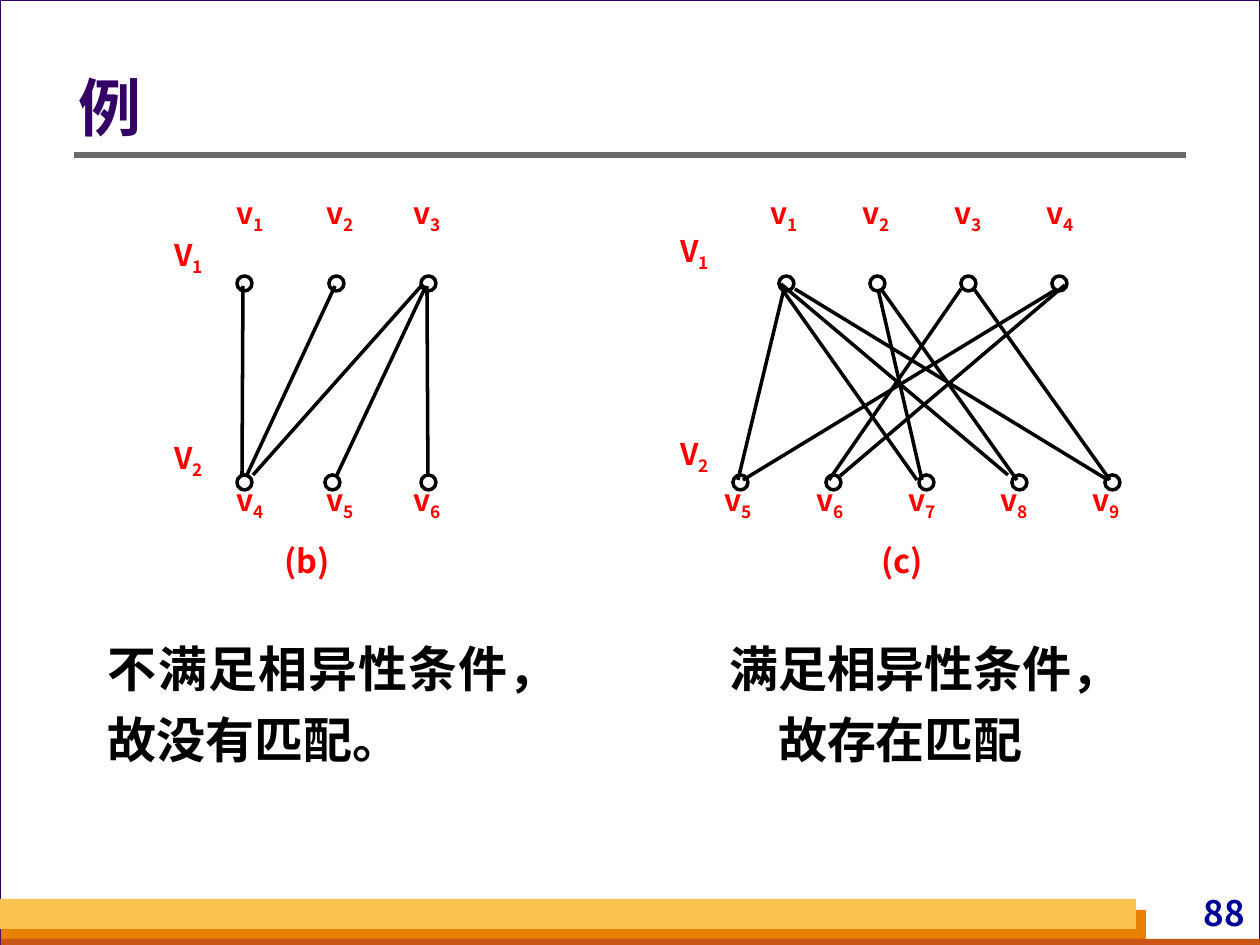
from lxml import etree
from pptx import Presentation
from pptx.dml.color import RGBColor
from pptx.enum import shapes, text
from pptx.oxml import ns
from pptx.util import Pt

PX = 914400 // 126
FONT = "Noto Sans CJK SC"
COLORS = {
    "page": "FFFFFF", "backdrop": "D8DADA", "frame": "330066", "title": "330066",
    "rule": "6B6B6B", "orange": "E88000", "rust": "C95616", "yellow": "FCC24F",
    "number": "000099", "label": "FF0000", "ink": "000000",
}
ALIGN = text.PP_ALIGN
ANCHOR = text.MSO_ANCHOR


def px(*lengths):
    """Turn pixel lengths into EMU."""
    return [round(n * PX) for n in lengths]


def rgb(name):
    """Look up a colour by name."""
    return RGBColor.from_string(COLORS[name])


def add_text(s, box, content, sub="", size=17, color="label", align=ALIGN.CENTER,
             spacing=0.9, anchor=ANCHOR.TOP, inset=(0, 0)):
    """Add a bold text box, with an optional subscript."""
    tf = s.shapes.add_textbox(*px(*box)).text_frame
    tf.word_wrap = True
    tf.vertical_anchor = anchor
    tf.margin_left, tf.margin_top = tf.margin_right, tf.margin_bottom = px(*inset)
    p = tf.paragraphs[0]
    p.alignment, p.line_spacing = align, spacing
    for part, baseline in ((content, None), (sub, "-25000")):
        if not part:
            continue
        r = p.add_run()
        r.text = part
        r.font.size, r.font.bold, r.font.name = Pt(size), True, FONT
        r.font.color.rgb = rgb(color)
        props = r.font._element
        etree.SubElement(props, ns.qn("a:ea"), typeface=FONT)
        if baseline:
            props.set("baseline", baseline)


def add_shape(s, kind, box, fill=None, line=None, width=1):
    """Add a preset shape without shadow."""
    sp = s.shapes.add_shape(kind, *px(*box))
    sp.shadow.inherit = False
    if fill:
        sp.fill.solid()
        sp.fill.fore_color.rgb = rgb(fill)
    else:
        sp.fill.background()
    if line:
        sp.line.color.rgb = rgb(line)
        sp.line.width = Pt(width)
    else:
        sp.line.fill.background()


def add_line(s, ends, color="ink", width=2):
    """Add a straight line without shadow."""
    cx = s.shapes.add_connector(shapes.MSO_CONNECTOR.STRAIGHT, *px(*ends))
    cx.line.color.rgb = rgb(color)
    cx.line.width = Pt(width)
    etree.SubElement(cx._element.spPr, ns.qn("a:effectLst"))


def add_frame(s, w, h):
    """Draw the page, the footer bars and the slide number."""
    rect = shapes.MSO_SHAPE.RECTANGLE
    add_shape(s, rect, (0, 0, w, h), "page", "frame", 0.75)
    add_shape(s, rect, (1, h - 35, 1145, 35), "orange")
    add_shape(s, rect, (1, h - 6, w - 1, 6), "rust")
    add_shape(s, rect, (0, h - 46, 1136, 30), "yellow")
    add_text(s, (w - 164, h - 53, 154, 42), "88", size=20, color="number",
             align=ALIGN.RIGHT, spacing=1, inset=(5, 0))


def add_title(s, x, y, w, h):
    """Draw the title over its rule."""
    add_line(s, (x, y + 107, x + w, y + 107), "rule", 3)
    add_text(s, (x, y, w, h), "例", size=36, color="title", align=ALIGN.LEFT,
             anchor=ANCHOR.MIDDLE, inset=(5, 0))


def add_graph(s, x, y, rows, edges, set_y, caption, caption_x):
    """Draw a bipartite graph from node rows and edges as (top x, bottom x, top y)."""
    for x1, x2, top in edges:
        add_line(s, (x + x1, y + top, x + x2, y + top + 191))
    number = 0
    for i, (nodes, labels) in enumerate(rows):
        add_text(s, (x, y + set_y + 203 * i, 59, 42), "V", str(i + 1))
        for node_x, label_x in zip(nodes, labels):
            number += 1
            add_text(s, (x + label_x, y + 287 * i, 59, 42), "v", str(number))
            add_shape(s, shapes.MSO_SHAPE.OVAL, (x + node_x, y + 81 + 199 * i, 15, 15),
                      line="ink", width=2)
    add_text(s, (x + caption_x, y + 351, 88, 42), caption, size=18.5)


def add_remark(s, box, content, align):
    """Write the conclusion under a graph."""
    add_text(s, box, content, size=28, color="ink", align=align, spacing=1.2,
             inset=(13, 6))


def main():
    """Build the slide and save it."""
    w, h = 1260, 945
    prs = Presentation()
    prs.slide_width, prs.slide_height = px(w, h)
    s = prs.slides.add_slide(prs.slide_layouts[6])
    s.background.fill.solid()
    s.background.fill.fore_color.rgb = rgb("backdrop")
    add_frame(s, w, h)
    add_title(s, 74, 48, 1112, 127)

    labels = (62, 152, 239)
    add_graph(
        s, 159, 195,
        rows=[((78, 170, 262), labels), ((78, 166, 262), labels)],
        edges=[(268, 269, 91), (84, 83, 91), (176, 87, 91), (264, 94, 89), (267, 177, 91)],
        set_y=42, caption="(b)", caption_x=104)
    add_graph(
        s, 665, 195,
        rows=[(range(114, 389, 91), range(90, 367, 92)),
              (range(68, 441, 93), range(44, 413, 92))],
        edges=[(213, 257, 94), (309, 445, 94), (117, 252, 94), (119, 73, 94),
               (130, 443, 94), (116, 343, 89), (296, 164, 94), (216, 352, 94),
               (400, 175, 90), (392, 78, 94)],
        set_y=38, caption="(c)", caption_x=193)
    add_remark(s, (95, 621, 427, 154), "不满足相异性条件，故没有匹配。", ALIGN.JUSTIFY)
    add_remark(s, (712, 621, 377, 154), "满足相异性条件，故存在匹配", ALIGN.CENTER)
    prs.save("out.pptx")


if __name__ == "__main__":
    main()
